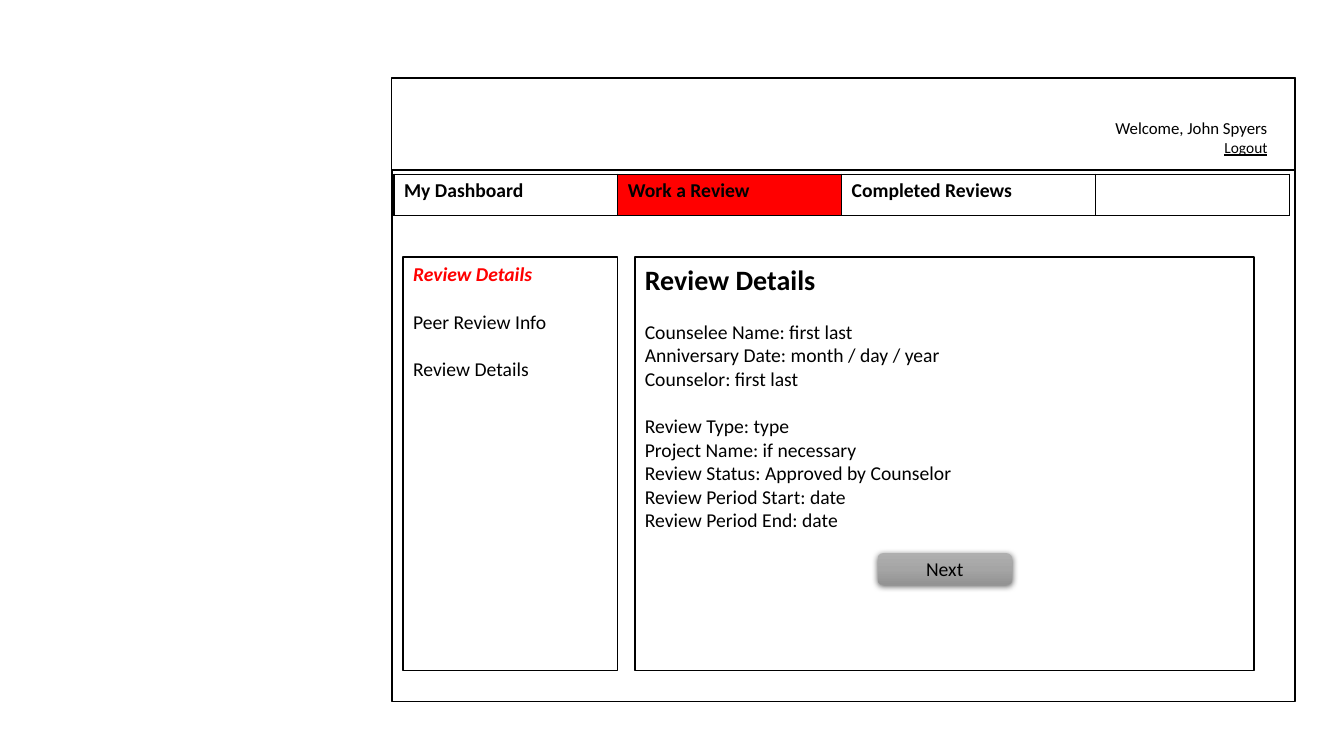
import pptx
import pptx.util
import pptx.dml.color
import pptx.enum.shapes
import pptx.enum.text
import pptx.oxml
import pptx.oxml.ns

Cm, Pt = pptx.util.Cm, pptx.util.Pt
RGBColor = pptx.dml.color.RGBColor
SHAPE = pptx.enum.shapes.MSO_SHAPE
ALIGN = pptx.enum.text.PP_ALIGN
ANCHOR = pptx.enum.text.MSO_ANCHOR

# Content
WELCOME = "Welcome, John Spyers"
LOGOUT = "Logout"
TABS = [("My Dashboard", 5.64), ("Work a Review", 5.64),
        ("Completed Reviews", 6.4), ("", 4.88)]
ACTIVE_TAB = "Work a Review"
PAGE_TITLE = "Review Details"
MENU_LINKS = ["Peer Review Info", "Review Details"]
DETAIL_GROUPS = [
    ["Counselee Name: first last", "Anniversary Date: month / day / year",
     "Counselor: first last"],
    ["Review Type: type", "Project Name: if necessary",
     "Review Status: Approved by Counselor",
     "Review Period Start: date", "Review Period End: date"],
]
NEXT = "Next"

# Colours and measures
BLACK = RGBColor(0, 0, 0)
WHITE = RGBColor(255, 255, 255)
RED = RGBColor(255, 0, 0)
BUTTON_STOPS = [(0, "AFAFAF"), (50, "A5A5A5"), (100, "939393")]
FONT = "Calibri"
GROUP_GAP = 17  # points, one line of body text
PANEL_TOP, PANEL_HEIGHT = 6.48, 10.41
TABS_HEIGHT = 1.04
NS = pptx.oxml.ns.nsdecls("a")

deck = pptx.Presentation()
deck.slide_width, deck.slide_height = Cm(33.87), Cm(19.05)
slide = deck.slides.add_slide(deck.slide_layouts[6])


def write(frame, text, size=14, color=BLACK, bold=False, italic=False,
          underline=False, align=ALIGN.LEFT, gap=0):
    """Add a paragraph, using the empty first one if there is one."""
    first = frame.paragraphs[0]
    line = frame.add_paragraph() if first.runs else first
    line.alignment = align
    line.space_before = Pt(gap)
    run = line.add_run()
    run.text = text
    font = run.font
    font.name, font.size, font.color.rgb = FONT, Pt(size), color
    font.bold, font.italic, font.underline = bold, italic, underline


def add_box(left, top, width, height):
    box = slide.shapes.add_shape(SHAPE.RECTANGLE, Cm(left), Cm(top),
                                 Cm(width), Cm(height))
    box.shadow.inherit = False
    box.fill.solid()
    box.fill.fore_color.rgb = WHITE
    box.line.color.rgb = BLACK
    box.line.width = Pt(1)
    box.text_frame.word_wrap = True
    box.text_frame.vertical_anchor = ANCHOR.TOP
    return box


# Page frame and header
add_box(9.88, 1.96, 22.76, 15.72)
add_box(9.86, 1.98, 22.76, 2.31)

# Side menu
menu = add_box(10.16, PANEL_TOP, 5.41, PANEL_HEIGHT).text_frame
write(menu, PAGE_TITLE, color=RED, bold=True, italic=True)
for link in MENU_LINKS:
    write(menu, link, gap=GROUP_GAP)

# Review details
details = add_box(16, PANEL_TOP, 15.6, PANEL_HEIGHT).text_frame
write(details, PAGE_TITLE, size=20, bold=True)
for group in DETAIL_GROUPS:
    for position, detail in enumerate(group):
        write(details, detail, gap=0 if position else GROUP_GAP)

# Next button with gradient and soft shadow
button = slide.shapes.add_shape(SHAPE.ROUNDED_RECTANGLE, Cm(22.12), Cm(13.94),
                                Cm(3.38), Cm(0.79))
button.line.fill.background()
button.fill.gradient()
button.fill.gradient_angle = 270
stops = button.fill._fill._gradFill.find(pptx.oxml.ns.qn("a:gsLst"))
stops.clear()
for percent, tone in BUTTON_STOPS:
    stops.append(pptx.oxml.parse_xml(
        f'<a:gs {NS} pos="{percent * 1000}"><a:srgbClr val="{tone}"/></a:gs>'))
button._element.spPr.append(pptx.oxml.parse_xml(
    f'<a:effectLst {NS}><a:outerShdw blurRad="{Pt(4.5)}" dist="{Pt(1.5)}" '
    'dir="5400000" algn="ctr" rotWithShape="0"><a:srgbClr val="000000">'
    '<a:alpha val="63000"/></a:srgbClr></a:outerShdw></a:effectLst>'))
button.text_frame.vertical_anchor = ANCHOR.MIDDLE
write(button.text_frame, NEXT, align=ALIGN.CENTER)

# Navigation tabs
tabs_width = sum(width for _, width in TABS)
tabs = slide.shapes.add_table(1, len(TABS), Cm(9.93), Cm(4.39),
                              Cm(tabs_width), Cm(TABS_HEIGHT)).table
tabs.first_row = tabs.horz_banding = False
tabs.rows[0].height = Cm(TABS_HEIGHT)
for index, (label, width) in enumerate(TABS):
    tabs.columns[index].width = Cm(width)
    tab = tabs.cell(0, index)
    for side in "LRTB":
        tab._tc.get_or_add_tcPr().append(pptx.oxml.parse_xml(
            f'<a:ln{side} {NS} w="{Pt(1)}"><a:solidFill>'
            f'<a:srgbClr val="{BLACK}"/></a:solidFill></a:ln{side}>'))
    tab.fill.solid()
    tab.fill.fore_color.rgb = RED if label == ACTIVE_TAB else WHITE
    if label:
        write(tab.text_frame, label, bold=True)

# Signed-in user
user = slide.shapes.add_textbox(Cm(27.86), Cm(2.84), Cm(4.42), Cm(1.27)).text_frame
user.word_wrap = False
user.auto_size = pptx.enum.text.MSO_AUTO_SIZE.SHAPE_TO_FIT_TEXT
write(user, WELCOME, size=12)
write(user, LOGOUT, size=11, underline=True, align=ALIGN.RIGHT)

deck.save("out.pptx")
